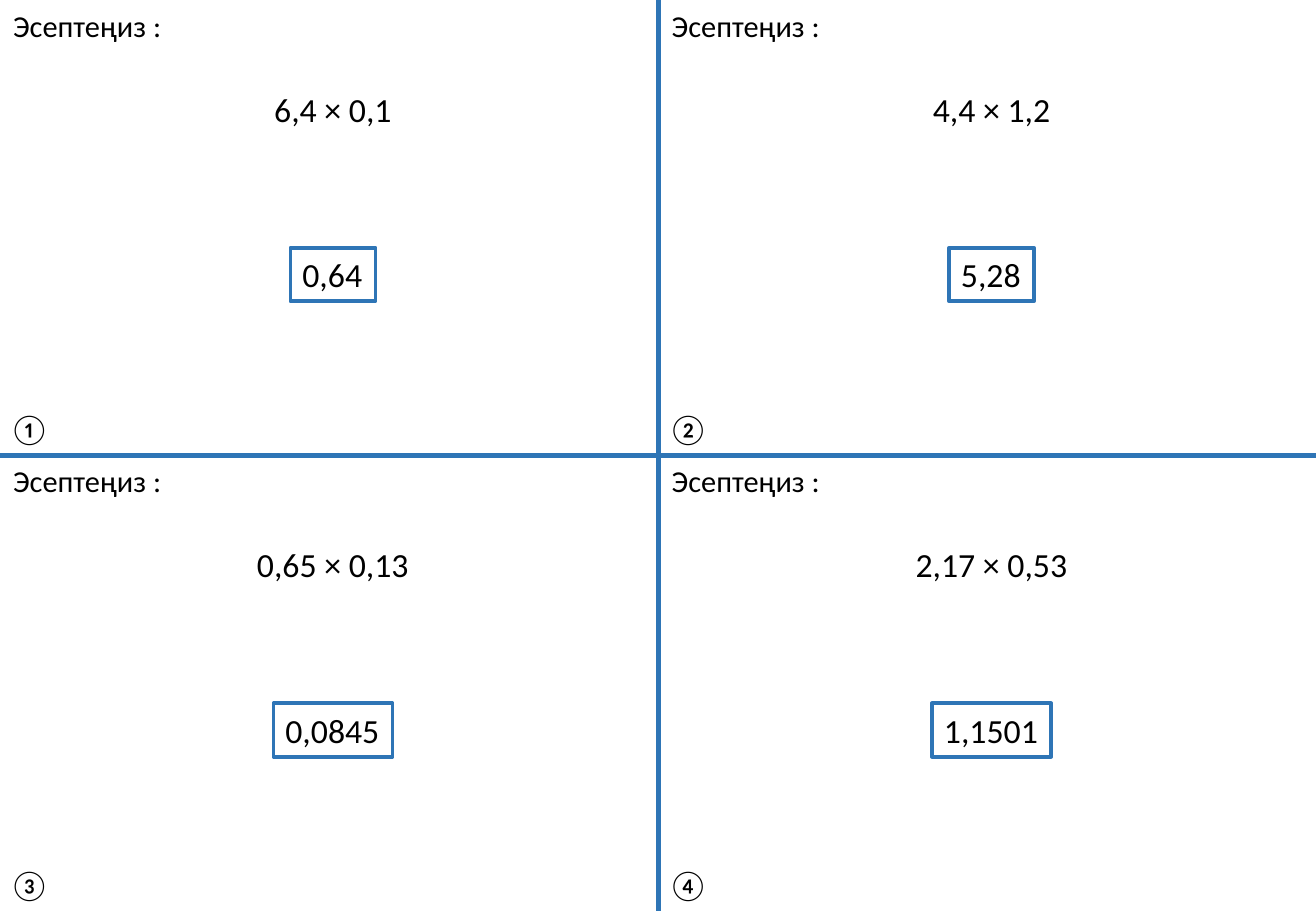
from dataclasses import dataclass

from lxml import etree
from pptx import Presentation
from pptx import util as u
from pptx.dml import color
from pptx.enum import shapes, text
from pptx.oxml import ns
from pptx.shapes.autoshape import Shape
from pptx.slide import Slide

PX = 9144
WIDTH, HEIGHT = 1083, 750
COLUMN, ROW = 542, 375
CENTRE = 274
COLOURS = {"rule": "2E75B6", "paper": "FFFFFF", "ink": "000000"}


@dataclass(frozen=True)
class Exercise:
    number: str
    product: str
    product_width: int
    answer: str
    answer_width: int


EXERCISES = [
    Exercise("①", "6,4 × 0,1", 118, "0,64", 70),
    Exercise("②", "4,4 × 1,2", 118, "5,28", 70),
    Exercise("③", "0,65 × 0,13", 146, "0,0845", 98),
    Exercise("④", "2,17 × 0,53", 146, "1,1501", 98),
]


def px(length: int) -> u.Emu:
    return u.Emu(length * PX)


def rgb(name: str) -> color.RGBColor:
    return color.RGBColor.from_string(COLOURS[name])


def draw_divider(page: Slide, x1: int, y1: int, x2: int, y2: int) -> None:
    divider = page.shapes.add_connector(
        shapes.MSO_CONNECTOR.STRAIGHT, px(x1), px(y1), px(x2), px(y2)
    )
    divider.line.color.rgb = rgb("rule")
    divider.line.width = u.Pt(3)
    etree.SubElement(divider._element.spPr, ns.qn("a:effectLst"))


def write(box: Shape, words: str, size: int, align: text.PP_ALIGN) -> None:
    frame_format = {
        "word_wrap": False,
        "auto_size": text.MSO_AUTO_SIZE.SHAPE_TO_FIT_TEXT,
        "vertical_anchor": text.MSO_ANCHOR.TOP,
    }
    for name, value in frame_format.items():
        setattr(box.text_frame, name, value)
    para = box.text_frame.paragraphs[0]
    para.alignment = align
    span = para.add_run()
    span.text = words
    for name, value in {"name": "Calibri", "size": u.Pt(size)}.items():
        setattr(span.font, name, value)
    span.font.color.rgb = rgb("ink")


def draw_label(page: Slide, left: int, top: int, width: int, height: int,
               words: str, size: int, align: text.PP_ALIGN) -> None:
    box = page.shapes.add_textbox(px(left), px(top), px(width), px(height))
    write(box, words, size, align)


def draw_answer(page: Slide, left: int, top: int, width: int, words: str) -> None:
    box = page.shapes.add_shape(
        shapes.MSO_SHAPE.RECTANGLE, px(left), px(top), px(width), px(44)
    )
    box.shadow.inherit = False
    box.fill.solid()
    box.fill.fore_color.rgb = rgb("paper")
    box.line.color.rgb = rgb("rule")
    box.line.width = u.Pt(2.25)
    write(box, words, 20, text.PP_ALIGN.JUSTIFY)


def draw_exercise(page: Slide, x: int, y: int, exercise: Exercise) -> None:
    left, centre = text.PP_ALIGN.LEFT, text.PP_ALIGN.CENTER
    draw_label(page, x + 1, y + 1, 144, 40, "Эсептеңиз :", 18, left)
    draw_label(page, x + CENTRE - exercise.product_width // 2, y + 68,
               exercise.product_width, 44, exercise.product, 20, centre)
    draw_answer(page, x + CENTRE - exercise.answer_width // 2, y + 204,
                exercise.answer_width, exercise.answer)
    draw_label(page, x - 2, y + 333, 54, 40, exercise.number, 18, left)


def main() -> None:
    deck = Presentation()
    deck.slide_width, deck.slide_height = px(WIDTH), px(HEIGHT)
    page = deck.slides.add_slide(deck.slide_layouts[6])
    draw_divider(page, COLUMN, 0, COLUMN, HEIGHT)
    draw_divider(page, 0, ROW, WIDTH, ROW)
    for index, exercise in enumerate(EXERCISES):
        row, column = divmod(index, 2)
        draw_exercise(page, column * COLUMN, row * ROW, exercise)
    deck.save("out.pptx")


if __name__ == "__main__":
    main()
